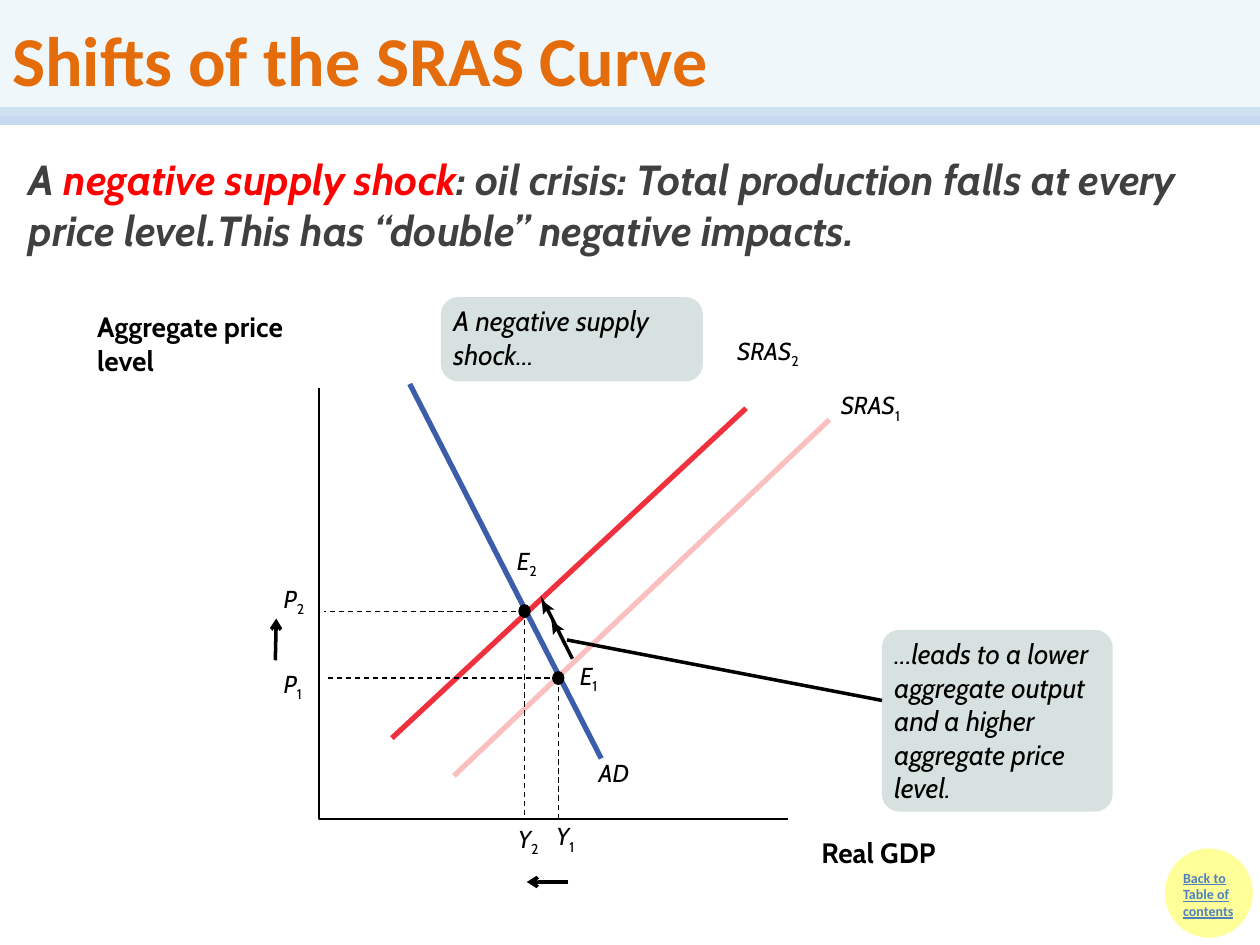
from lxml import etree
from pptx import Presentation
from pptx.dml.color import RGBColor
from pptx.enum.dml import MSO_LINE
from pptx.enum.shapes import MSO_CONNECTOR, MSO_SHAPE
from pptx.enum.text import MSO_ANCHOR, MSO_AUTO_SIZE, PP_ALIGN
from pptx.oxml.ns import qn
from pptx.util import Cm, Pt

STRAIGHT = MSO_CONNECTOR.STRAIGHT
OVAL, ROUNDED = MSO_SHAPE.OVAL, MSO_SHAPE.ROUNDED_RECTANGLE
DASH = MSO_LINE.DASH
TOP, MIDDLE = MSO_ANCHOR.TOP, MSO_ANCHOR.MIDDLE
LEFT = PP_ALIGN.LEFT
FIXED = MSO_AUTO_SIZE.NONE

COLORS = {
    "black": "000000", "title": "E46C0A", "title_band": "DBEEF4", "rule": "C6D9F1",
    "body": "404040", "accent": "FF0000", "sras1": "FAC0BF", "sras2": "EE313C",
    "ad": "3C5DAA", "callout": "D7E2E0", "badge": "FFFF99", "link": "4F81BD",
}
SYMBOL = {"name": "Cabin", "size": Pt(14), "italic": True}
AXIS_TITLE = {"name": "Cabin", "size": Pt(16), "bold": True}
CALLOUT = {"name": "Cabin", "size": Pt(16), "italic": True}
STATEMENT = {"name": "Cabin", "size": Pt(24), "bold": True, "italic": True}
HEADING = {"name": "Calibri", "size": Pt(40), "bold": True}
BADGE = {"name": "Calibri", "size": Pt(8), "bold": True, "underline": True}


def rgb(key):
    return RGBColor.from_string(COLORS[key])


def add_run(paragraph, text, font_format, color="black"):
    run = paragraph.add_run()
    run.text = text
    for attribute, value in font_format.items():
        setattr(run.font, attribute, value)
    run.font.color.rgb = rgb(color)
    return run


def set_frame(frame, inset_x=0.25, inset_y=0.13, anchor=TOP):
    settings = {
        "word_wrap": True, "auto_size": FIXED, "vertical_anchor": anchor,
        "margin_left": Cm(inset_x), "margin_right": Cm(inset_x),
        "margin_top": Cm(inset_y), "margin_bottom": Cm(inset_y),
    }
    for attribute, value in settings.items():
        setattr(frame, attribute, value)
    paragraph = frame.paragraphs[0]
    paragraph.alignment = LEFT
    return paragraph


def place(shape, left, top, width, height):
    shape.left, shape.top = Cm(left), Cm(top)
    shape.width, shape.height = Cm(width), Cm(height)


def add_text(slide, box, text, font_format, color="black"):
    frame = slide.shapes.add_textbox(*map(Cm, box)).text_frame
    add_run(set_frame(frame), text, font_format, color)


def add_symbol(slide, left, top, width, name, subscript=""):
    """Place an italic variable name with an upright subscript."""
    box = slide.shapes.add_textbox(Cm(left), Cm(top), Cm(width), Cm(0.61))
    paragraph = set_frame(box.text_frame, 0, 0)
    add_run(paragraph, name, SYMBOL)
    if subscript:
        index = add_run(paragraph, subscript, {**SYMBOL, "italic": False})
        index.font._element.set("baseline", "-25000")


def add_line(slide, start, end, color="black", width=0, dash=None, arrow=False):
    line = slide.shapes.add_connector(STRAIGHT, *map(Cm, (*start, *end)))
    line.line.color.rgb = rgb(color)
    line.line.width = Pt(width)
    if dash:
        line.line.dash_style = dash
    if arrow:
        etree.SubElement(line.line._get_or_add_ln(), qn("a:tailEnd"), type="arrow")
    etree.SubElement(line._element.spPr, qn("a:effectLst"))


def add_solid(slide, preset, box, color):
    shape = slide.shapes.add_shape(preset, *map(Cm, box))
    shape.shadow.inherit = False
    shape.fill.solid()
    shape.fill.fore_color.rgb = rgb(color)
    shape.line.fill.background()
    return shape


def add_outline(slide, points, close):
    (x, y), *others = [(Cm(px), Cm(py)) for px, py in points]
    builder = slide.shapes.build_freeform(x, y)
    builder.add_line_segments(others, close=close)
    outline = builder.convert_to_shape()
    outline.shadow.inherit = False
    return outline


def add_callout(slide, box, text):
    radius = 0.35
    callout = add_solid(slide, ROUNDED, box, "callout")
    callout.adjustments[0] = radius / min(box[2:])
    add_run(set_frame(callout.text_frame, 0.15, 0.03), text, CALLOUT)


def add_header(slide, left, top, width, height):
    bottom = top + height
    add_line(slide, (left, bottom), (left + width, bottom), "rule", 10)
    title = slide.shapes.title
    slide.shapes._spTree.append(title._element)  # bring in front of the rule
    place(title, left, top, width, height)
    title.fill.solid()
    title.fill.fore_color.rgb = rgb("title_band")
    band = title._element.spPr.find(".//" + qn("a:srgbClr"))
    etree.SubElement(band, qn("a:alpha"), val="44000")
    paragraph = set_frame(title.text_frame, anchor=MIDDLE)
    add_run(paragraph, "Shifts of the SRAS Curve", HEADING, "title")


def add_statement(slide, left, top, width, height):
    body = slide.placeholders[1]
    place(body, left, top, width, height)
    paragraph = set_frame(body.text_frame)
    paragraph.space_before = Pt(0)
    properties = paragraph._p.get_or_add_pPr()
    properties.set("marL", "0")
    properties.set("indent", "0")
    etree.SubElement(properties, qn("a:buNone"))
    tabs = etree.SubElement(properties, qn("a:tabLst"))
    etree.SubElement(tabs, qn("a:tab"), pos=str(Cm(4.6)), algn="l")
    for text, color in (
        ("A ", "body"),
        ("negative supply shock", "accent"),
        (": oil crisis: Total production falls at every price level.\t"
         "This has “double” negative impacts.", "body"),
    ):
        add_run(paragraph, text, STATEMENT, color)


def add_graph(slide, left, top, width, height):
    """Draw the AD-SRAS diagram; the box is spanned by the two axes."""
    def at(x, y):
        return left + x, top + y

    for start, end, color in (
        ((2.72, 7.82), (10.29, 0.64), "sras1"),
        ((5.69, 7.47), (1.83, -0.08), "ad"),
        ((1.47, 7.06), (8.61, 0.41), "sras2"),
    ):
        add_line(slide, at(*start), at(*end), color, 3)

    axes = add_outline(slide, [at(width, height), at(0, height), at(0, 0)], False)
    axes.fill.background()
    axes.line.color.rgb = rgb("black")
    axes.line.width = Pt(0)

    for x, y in ((4.83, 5.85), (4.15, 4.5)):  # equilibria E1, E2
        add_line(slide, at(x, y), at(x, height), width=0.75, dash=DASH)
        add_line(slide, at(x, y), at(0.1, y), width=0.75, dash=DASH)
        add_solid(slide, OVAL, (*at(x - 0.13, y - 0.14), 0.25, 0.28), "black")

    for x, y, label_width, name, subscript in (
        (-0.71, 5.66, 0.53, "P", "1"), (-0.71, 3.96, 0.53, "P", "2"),
        (4.78, 8.74, 0.53, "Y", "1"), (4.01, 8.79, 0.53, "Y", "2"),
        (5.26, 5.51, 0.53, "E", "1"), (3.99, 3.18, 0.53, "E", "2"),
        (10.52, 0.05, 2.08, "SRAS", "1"), (8.43, -1.04, 2.08, "SRAS", "2"),
        (5.64, 7.47, 0.69, "AD", ""),
    ):
        add_symbol(slide, *at(x, y), label_width, name, subscript)
    add_text(slide, (*at(9.88, 8.89), 4.01, 0.94), "Real GDP", AXIS_TITLE)
    add_text(slide, (*at(-4.72, -1.7), 4.65, 1.63), "Aggregate price level", AXIS_TITLE)

    add_line(slide, at(-0.88, 5.49), at(-0.86, 4.65), arrow=True)
    add_line(slide, at(5.03, 9.96), at(4.19, 9.96), arrow=True)

    add_line(slide, at(5.11, 5.46), at(4.6, 4.45))
    barb = ((0, 0), (0.1, 0.15), (0.28, 0.28), (0.13, 0.28), (0.05, 0.38), (0.03, 0.18))
    for tip_x, tip_y in ((4.47, 4.19), (4.67, 4.6)):
        head = add_outline(slide, [at(tip_x + x, tip_y + y) for x, y in barb], True)
        head.fill.solid()
        head.fill.fore_color.rgb = rgb("black")
        head.line.fill.background()

    add_callout(slide, (*at(2.46, -1.83), 5.28, 1.7), "A negative supply shock...")
    add_callout(slide, (*at(11.35, 4.88), 4.65, 3.66),
                "...leads to a lower aggregate output and a higher aggregate price level.")
    add_line(slide, at(11.35, 6.3), at(5, 5.08))


def add_contents_badge(slide, left, top, width, height):
    disc = add_solid(slide, OVAL, (left, top, width, height), "badge")
    disc.line.color.rgb = rgb("badge")
    disc.line.width = Pt(2)
    add_text(slide, (left + 0.08, top + 0.25, 1.83, 1.7),
             "Back to Table of contents", BADGE, "link")


def main():
    deck = Presentation()
    deck.slide_width, deck.slide_height = Cm(25.4), Cm(19.05)
    slide = deck.slides.add_slide(deck.slide_layouts[1])
    add_header(slide, 0, 0, 25.4, 2.34)
    add_contents_badge(slide, 23.52, 17.14, 1.7, 1.73)
    add_graph(slide, 6.43, 7.82, 9.45, 8.69)
    add_statement(slide, 0.33, 2.97, 24.87, 2.31)
    deck.save("out.pptx")


if __name__ == "__main__":
    main()
